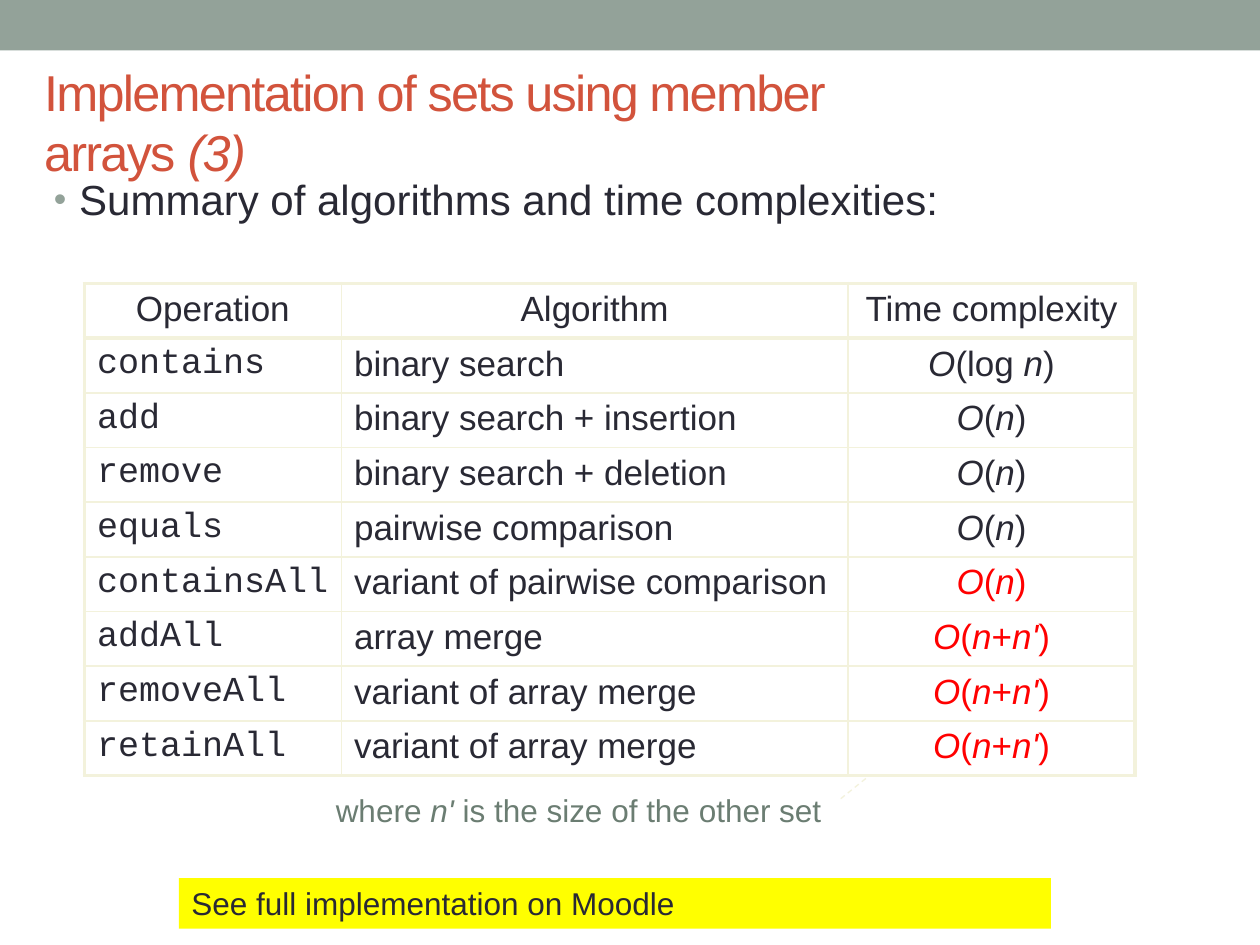
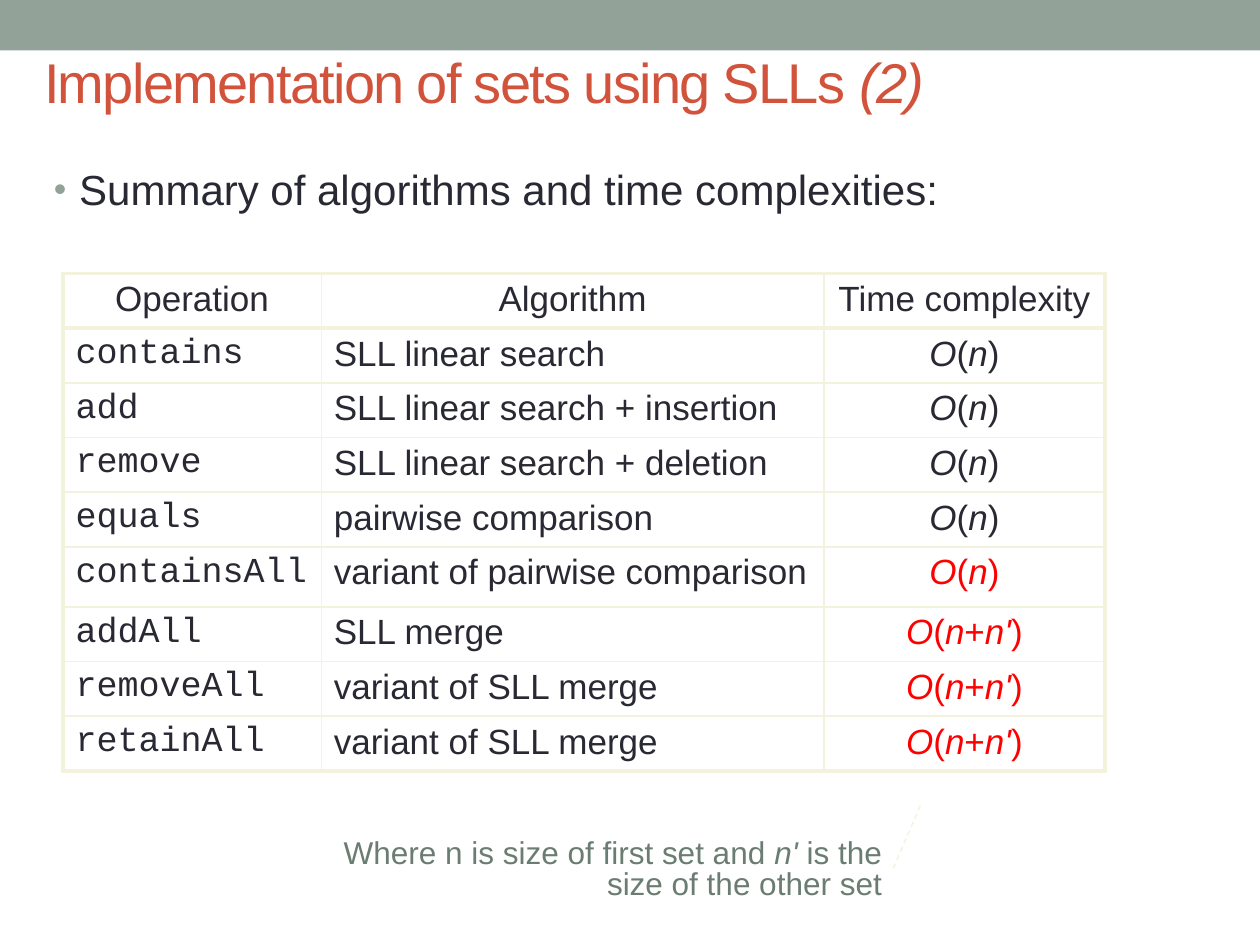
from lxml import etree
from pptx import Presentation
from pptx.dml.color import RGBColor
from pptx.enum.dml import MSO_LINE
from pptx.enum.shapes import MSO_SHAPE
from pptx.enum.text import MSO_ANCHOR, MSO_AUTO_SIZE, PP_ALIGN
from pptx.oxml.ns import qn
from pptx.util import Emu, Inches, Pt

LEFT, CENTER, RIGHT = PP_ALIGN.LEFT, PP_ALIGN.CENTER, PP_ALIGN.RIGHT
TOP, MIDDLE = MSO_ANCHOR.TOP, MSO_ANCHOR.MIDDLE

COLORS = {"band": "93A299", "title": "D2533C", "text": "292934", "red": "FF0000",
          "note": "6B7D72", "grid": "F3F2DC", "cell": "FFFFFF", "highlight": "FFFF00"}

# Text between asterisks is italic.
SUMMARY = "Summary of algorithms and time complexities:"
HEADER = ("Operation", "Algorithm", "Time complexity")
OPERATIONS = ("contains", "add", "remove", "equals",
              "containsAll", "addAll", "removeAll", "retainAll")
LINEAR, MERGED = "*O*(*n*)", "*O*(*n*+*n'*)"
FIRST_RED_ROW = 5

SLIDES = [
    {
        "title": "Implementation of sets using member \narrays *(3)*",
        "title_size": 28.8,
        "title_at": (0.25, 0.5, 8.92, 0.93),
        "summary_at": (0.33, 1.33, 7.88, 0.5),
        "table_at": (0.67, 2.25),
        "columns": (2.04, 4.02, 2.28),
        "rows": [0.433] * 9,
        "algorithms": ("binary search", "binary search + insertion",
                       "binary search + deletion", "pairwise comparison",
                       "variant of pairwise comparison", "array merge",
                       "variant of array merge", "variant of array merge"),
        "complexities": ["*O*(log *n*)"] + [LINEAR] * 4 + [MERGED] * 3,
        "note": "where *n'* is the size of the other set",
        "note_at": (1.44, 6.33, 5.08, 0.31),
        "pointer": (0.03, 1.03, -0.5, 1.07),
        "highlight": "See full implementation on Moodle",
    },
    {
        "title": "Implementation of sets using SLLs *(2)*",
        "title_size": 32,
        "title_at": (0.25, 0.25, 8.92, 0.79),
        "summary_at": (0.33, 1.25, 7.88, 0.5),
        "table_at": (0.5, 2.17),
        "columns": (2.05, 3.99, 2.23),
        "rows": [0.433] * 5 + [0.477] + [0.433] * 3,
        "algorithms": ("SLL linear search", "SLL linear search + insertion",
                       "SLL linear search + deletion", "pairwise comparison",
                       "variant of pairwise comparison", "SLL merge",
                       "variant of SLL merge", "variant of SLL merge"),
        "complexities": [LINEAR] * 5 + [MERGED] * 3,
        "note": "Where n is size of first set and *n'* is the size of the other set",
        "note_at": (2.5, 6.66, 4.5, 0.58),
        "pointer": (0.4, 1.02, -0.5, 1.07),
    },
]


def rgb(name):
    return RGBColor.from_string(COLORS[name])


def inches(values):
    return [Inches(v) for v in values]


def write(tf, text, size=20, color="text", font="Arial", align=LEFT,
          line_spacing=None, tracking=None):
    """Fill the first paragraph; asterisks toggle italics, newlines break lines."""
    p = tf.paragraphs[0]
    p.alignment = align
    p.line_spacing = line_spacing
    for i, part in enumerate(text.split("*")):
        for j, line in enumerate(part.split("\n")):
            if j:
                p.add_line_break()
            if not line:
                continue
            r = p.add_run()
            r.text = line
            r.font.size, r.font.name = Pt(size), font
            r.font.italic = i % 2 == 1
            r.font.color.rgb = rgb(color)
            if tracking is not None:
                r.font._element.set("spc", str(int(tracking * 100)))
    return p


def add_shape(s, kind, at, fill=None):
    sp = s.shapes.add_shape(kind, *inches(at))
    sp.shadow.inherit = False
    sp.line.fill.background()
    if fill:
        sp.fill.solid()
        sp.fill.fore_color.rgb = rgb(fill)
    else:
        sp.fill.background()
    sp.text_frame.word_wrap = True
    sp.text_frame.vertical_anchor = TOP
    return sp


def add_title(s, content):
    title = s.shapes.title
    title.left, title.top, title.width, title.height = inches(content["title_at"])
    tf = title.text_frame
    tf.auto_size = MSO_AUTO_SIZE.NONE
    tf.vertical_anchor = MIDDLE
    write(tf, content["title"], size=content["title_size"], color="title", tracking=-1)


def add_summary(s, at):
    tf = s.shapes.add_textbox(*inches(at)).text_frame
    tf.word_wrap = True
    p = write(tf, SUMMARY, size=24)
    pPr = p._p.get_or_add_pPr()
    pPr.set("marL", str(Inches(0.2)))
    pPr.set("indent", str(-Inches(0.2)))
    color = etree.SubElement(pPr, qn("a:buClr"))
    etree.SubElement(color, qn("a:srgbClr"), val=COLORS["band"])
    etree.SubElement(pPr, qn("a:buSzPct"), val="85000")
    etree.SubElement(pPr, qn("a:buFont"), typeface="Arial")
    etree.SubElement(pPr, qn("a:buChar"), char="•")


def set_borders(cell, widths):
    """Set the left, right, top and bottom border widths, in points."""
    tcPr = cell._tc.get_or_add_tcPr()
    for i, (side, width) in enumerate(zip("LRTB", widths)):
        ln = etree.Element(qn(f"a:ln{side}"), w=str(Pt(width)))
        fill = etree.SubElement(ln, qn("a:solidFill"))
        etree.SubElement(fill, qn("a:srgbClr"), val=COLORS["grid"])
        tcPr.insert(i, ln)


def add_complexity_table(s, content):
    data = [HEADER, *zip(OPERATIONS, content["algorithms"], content["complexities"])]
    columns, rows = inches(content["columns"]), inches(content["rows"])
    table = s.shapes.add_table(len(rows), len(columns), *inches(content["table_at"]),
                               Emu(sum(columns)), Emu(sum(rows))).table
    table.first_row = table.horz_banding = False
    for column, width in zip(table.columns, columns):
        column.width = width
    for row, height in zip(table.rows, rows):
        row.height = height

    last_row, last_col = len(rows) - 1, len(columns) - 1
    for i, values in enumerate(data):
        for j, value in enumerate(values):
            cell = table.cell(i, j)
            cell.fill.solid()
            cell.fill.fore_color.rgb = rgb("cell")
            thick = (j == 0, j == last_col, i in (0, 1), i in (0, last_row))
            set_borders(cell, [2.25 if t else 1 for t in thick])
            write(cell.text_frame, value,
                  font="Courier New" if i and j == 0 else "Arial",
                  color="red" if i >= FIRST_RED_ROW and j == last_col else "text",
                  align=CENTER if i == 0 or j == last_col else LEFT)


def add_note(s, content):
    sp = add_shape(s, MSO_SHAPE.LINE_CALLOUT_1_NO_BORDER, content["note_at"])
    for i, value in enumerate(content["pointer"]):
        sp.adjustments[i] = value
    sp.line.color.rgb = rgb("grid")
    sp.line.width = Pt(0.75)
    sp.line.dash_style = MSO_LINE.DASH
    tf = sp.text_frame
    tf.margin_left = tf.margin_right = tf.margin_top = tf.margin_bottom = 0
    write(tf, content["note"], size=18, color="note", align=RIGHT, line_spacing=Pt(18))


def main():
    prs = Presentation()
    prs.slide_width, prs.slide_height = Inches(10), Inches(7.5)
    for content in SLIDES:
        s = prs.slides.add_slide(prs.slide_layouts[5])
        add_shape(s, MSO_SHAPE.RECTANGLE, (0, 0, 10, 0.4), fill="band")
        add_title(s, content)
        add_summary(s, content["summary_at"])
        add_complexity_table(s, content)
        add_note(s, content)
        if "highlight" in content:
            box = add_shape(s, MSO_SHAPE.RECTANGLE, (1.42, 6.97, 6.92, 0.4), fill="highlight")
            write(box.text_frame, content["highlight"], size=18)
    prs.save("out.pptx")


if __name__ == "__main__":
    main()
